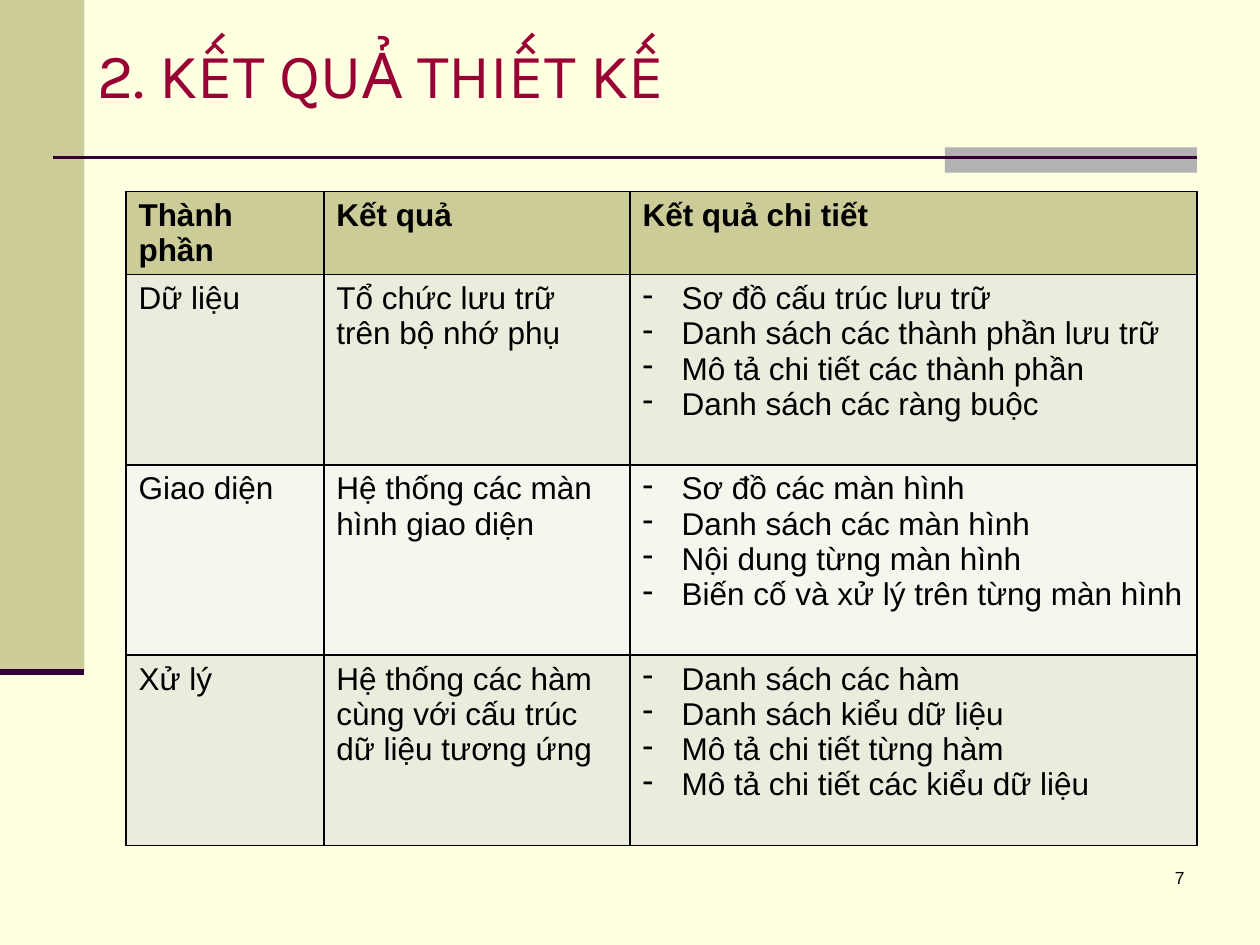
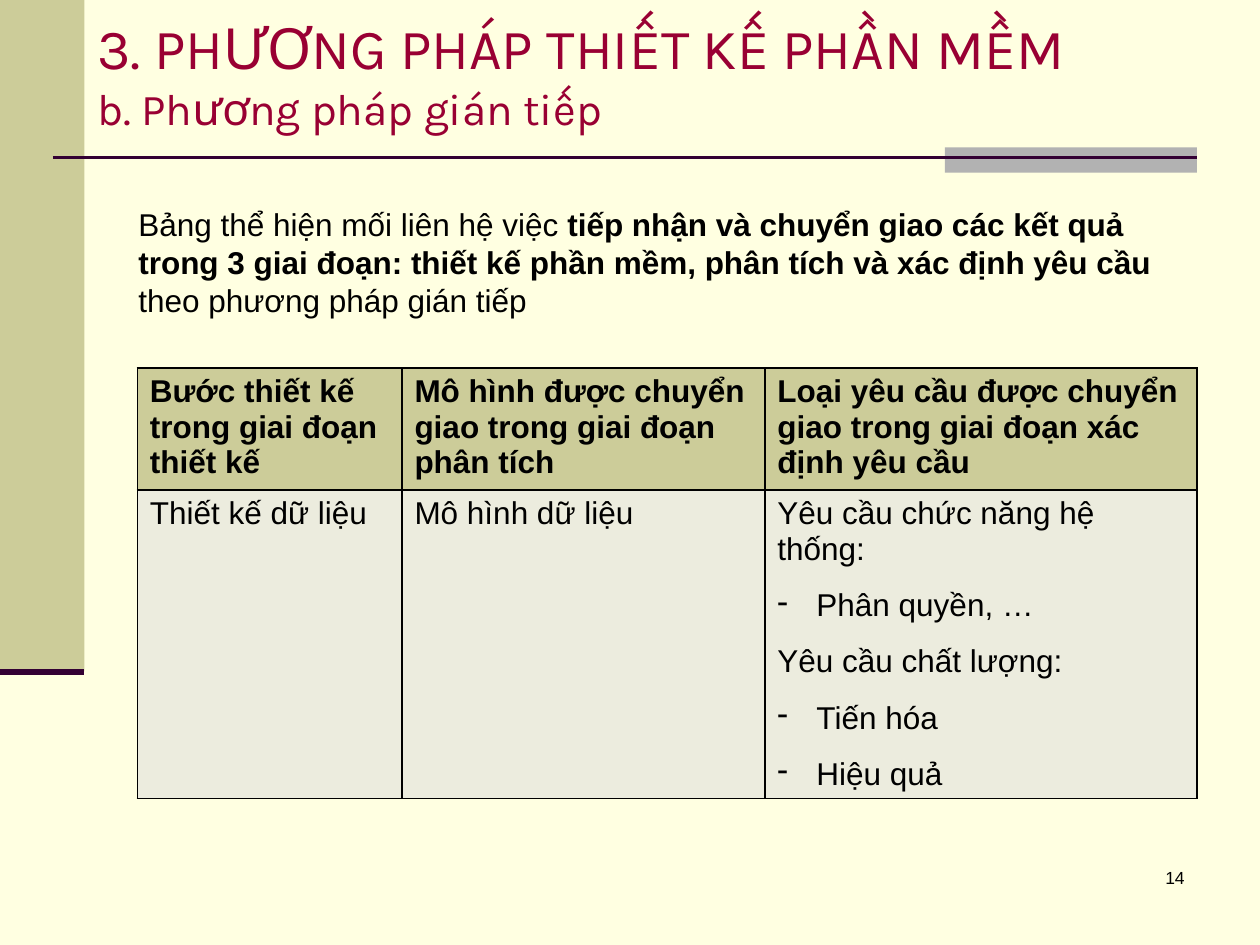
from dataclasses import dataclass
from lxml.etree import SubElement as add_node
from pptx import Presentation
from pptx.dml.color import RGBColor as Color
from pptx.enum.shapes import MSO_CONNECTOR as Link, MSO_SHAPE as Form
from pptx.enum.text import MSO_ANCHOR as Anchor, MSO_AUTO_SIZE as Fit, PP_ALIGN as Align
from pptx.oxml.ns import qn
from pptx.util import Inches, Pt


@dataclass(frozen=True)
class Theme:
    """Colours, fonts and type sizes of the deck."""
    paper: str = "FFFFE1"
    olive: str = "CCCC99"
    grey: str = "B2B2B2"
    plum: str = "330033"
    wine: str = "990033"
    ink: str = "000000"
    bands: tuple = ("ECECDE", "F6F6EF")
    head: str = "Karla"
    body: str = "Arial"
    text: float = 18
    small: float = 10


THEME = Theme()
RIGHT = 9.5

SLIDES = [
    dict(
        title=[("2. KẾT QUẢ THIẾT KẾ", 36)],
        page="7",
        intro=[],
        top=1.52,
        cols=[1.57, 2.43, 4.5],
        rows=[0.66, 1.51, 1.51, 1.51],
        gap=0,
        cells=[
            ["Thành phần", "Kết quả", "Kết quả chi tiết"],
            ["Dữ liệu", "Tổ chức lưu trữ trên bộ nhớ phụ",
             "- Sơ đồ cấu trúc lưu trữ\n- Danh sách các thành phần lưu trữ\n"
             "- Mô tả chi tiết các thành phần\n- Danh sách các ràng buộc"],
            ["Giao diện", "Hệ thống các màn hình giao diện",
             "- Sơ đồ các màn hình\n- Danh sách các màn hình\n"
             "- Nội dung từng màn hình\n- Biến cố và xử lý trên từng màn hình"],
            ["Xử lý", "Hệ thống các hàm cùng với cấu trúc dữ liệu tương ứng",
             "- Danh sách các hàm\n- Danh sách kiểu dữ liệu\n"
             "- Mô tả chi tiết từng hàm\n- Mô tả chi tiết các kiểu dữ liệu"],
        ],
    ),
    dict(
        title=[("3. PHƯƠNG PHÁP THIẾT KẾ PHẦN MỀM", 32.4),
               ("b. Phương pháp gián tiếp", 25.2)],
        page="14",
        intro=[("Bảng thể hiện mối liên hệ việc ", False),
               ("tiếp nhận và chuyển giao các kết quả trong 3 giai đoạn: "
                "thiết kế phần mềm, phân tích và xác định yêu cầu ", True),
               ("theo phương pháp gián tiếp", False)],
        top=2.92,
        cols=[2.1, 2.88, 3.43],
        rows=[0.97, 2.44],
        gap=6,
        cells=[
            ["Bước thiết kế trong giai đoạn thiết kế",
             "Mô hình được chuyển giao trong giai đoạn phân tích",
             "Loại yêu cầu được chuyển giao trong giai đoạn xác định yêu cầu"],
            ["Thiết kế dữ liệu", "Mô hình dữ liệu",
             "Yêu cầu chức năng hệ thống:\n- Phân quyền, …\n"
             "Yêu cầu chất lượng:\n- Tiến hóa\n- Hiệu quả"],
        ],
    ),
]


def paint(fill, tone):
    """Give a fill one solid colour."""
    fill.solid()
    fill.fore_color.rgb = Color.from_string(tone)


def style(run, size=THEME.text, bold=False, face=THEME.body, tone=THEME.ink):
    """Set the font of a run."""
    font = run.font
    font.name, font.size, font.bold = face, Pt(size), bold
    font.color.rgb = Color.from_string(tone)


def add_bar(slide, *place, tone):
    """Draw a plain filled rectangle."""
    bar = slide.shapes.add_shape(Form.RECTANGLE, *map(Inches, place))
    bar.shadow.inherit = False
    paint(bar.fill, tone)
    bar.line.fill.background()


def add_rule(slide, left, right, level, width):
    """Draw a level line without a shadow."""
    rule = slide.shapes.add_connector(
        Link.STRAIGHT, *map(Inches, (left, level, right, level)))
    rule.line.color.rgb = Color.from_string(THEME.plum)
    rule.line.width = Pt(width)
    add_node(rule._element.spPr, qn("a:effectLst"))


def add_frame(slide):
    """Draw the side band and the title rule."""
    add_bar(slide, 0, 0, 0.67, 5.33, tone=THEME.olive)
    add_bar(slide, 7.5, 1.17, 2, 0.2, tone=THEME.grey)
    add_rule(slide, 0.42, RIGHT, 1.25, 1.5)
    add_rule(slide, 0, 0.67, 5.33, 3.5)


def set_title(slide, lines):
    """Place the title and format each of its lines."""
    title = slide.shapes.title
    title.left, title.top, title.width, title.height = map(
        Inches, (0.67, 0, 8.83, 1.17))
    frame = title.text_frame
    frame.text = "\v".join(text for text, size in lines)
    frame.auto_size = Fit.NONE
    frame.vertical_anchor = Anchor.MIDDLE
    para = frame.paragraphs[0]
    para.alignment = Align.LEFT
    for run, (text, size) in zip(para.runs, lines):
        style(run, size, face=THEME.head, tone=THEME.wine)


def add_text(slide, place, parts, size=THEME.text, align=Align.LEFT):
    """Add a wrapped text box made of (text, bold) parts."""
    frame = slide.shapes.add_textbox(*map(Inches, place)).text_frame
    frame.word_wrap = True
    para = frame.paragraphs[0]
    para.alignment = align
    for text, bold in parts:
        run = para.add_run()
        run.text = text
        style(run, size, bold)


def add_dash(para):
    """Turn a paragraph into a dash item with a hanging indent."""
    props = para._p.get_or_add_pPr()
    props.set("marL", str(Inches(0.31)))
    props.set("indent", str(-Inches(0.31)))
    add_node(props, qn("a:buChar"), char="-")


def add_edges(cell):
    """Draw a thin line on all four sides of a cell."""
    props = cell._tc.get_or_add_tcPr()
    for side in "LRTB":
        edge = add_node(props, qn("a:ln" + side), w=str(Pt(1)))
        solid = add_node(edge, qn("a:solidFill"))
        add_node(solid, qn("a:srgbClr"), val=THEME.ink)


def fill_cell(cell, text, row, gap):
    """Write and format one cell; row 0 is the header."""
    add_edges(cell)
    paint(cell.fill, THEME.bands[(row - 1) % 2] if row else THEME.olive)
    cell.vertical_anchor = Anchor.TOP
    lines = text.split("\n")
    cell.text_frame.text = "\n".join(line.removeprefix("- ") for line in lines)
    for para, line in zip(cell.text_frame.paragraphs, lines):
        if len(lines) > 1:
            para.space_before = para.space_after = Pt(gap)
        if line.startswith("- "):
            add_dash(para)
        style(para.runs[0], bold=row == 0)


def add_grid(slide, top, cols, rows, cells, gap):
    """Add a table that ends at the right margin."""
    width, height = sum(cols), sum(rows)
    place = map(Inches, (RIGHT - width, top, width, height))
    table = slide.shapes.add_table(len(rows), len(cols), *place).table
    for col, size in zip(table.columns, cols):
        col.width = Inches(size)
    for row, size in zip(table.rows, rows):
        row.height = Inches(size)
    for row, texts in enumerate(cells):
        for col, text in enumerate(texts):
            fill_cell(table.cell(row, col), text, row, gap)


def build():
    """Build the deck and save it."""
    deck = Presentation()
    deck.slide_width, deck.slide_height = Inches(10), Inches(7.5)
    paint(deck.slide_master.background.fill, THEME.paper)
    for data in SLIDES:
        slide = deck.slides.add_slide(deck.slide_layouts[5])
        add_frame(slide)
        set_title(slide, data["title"])
        add_grid(slide, data["top"], data["cols"], data["rows"],
                 data["cells"], data["gap"])
        if data["intro"]:
            add_text(slide, (1, 1.58, 8.5, 1.01), data["intro"])
        add_text(slide, (7.42, 6.83, 2.08, 0.5), [(data["page"], False)],
                 THEME.small, Align.RIGHT)
    deck.save("out.pptx")


build()
